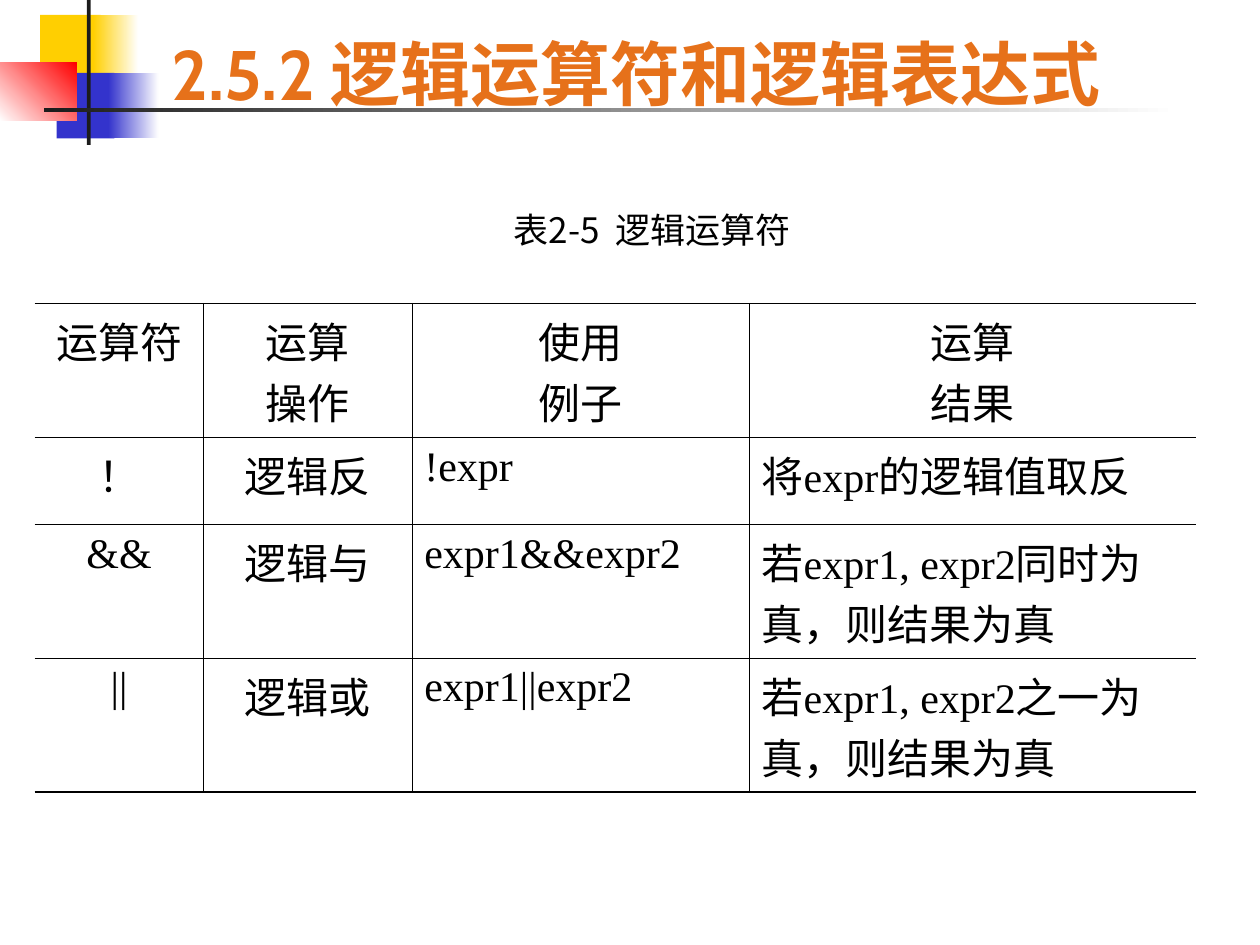
from dataclasses import dataclass

from lxml import etree
from pptx import Presentation
from pptx.dml.color import RGBColor
from pptx.enum import shapes, text
from pptx.oxml.ns import qn
from pptx.util import Cm, Pt


@dataclass(frozen=True)
class Theme:
    white: str = "FFFFFF"
    black: str = "000000"
    ink: str = "1C1C1C"
    yellow: str = "FFCF01"
    blue: str = "3333CC"
    red: str = "FF0000"
    orange: str = "E6711A"
    title_font: str = "Cabin"
    body_font: str = "Times New Roman"
    chinese_font: str = "Noto Sans CJK SC"
    title_size: int = 40
    caption_size: int = 20
    table_size: int = 24
    outer_rule: float = 0.96
    header_rule: float = 0.45
    inner_rule: float = 0.06


class SlideBuilder:
    def __init__(self, slide, theme):
        self.slide = slide
        self.theme = theme

    def block(self, left, top, width, height, color, fade_to=None, angle=0):
        """Add a borderless rectangle, plain or fading to a second colour."""
        shape = self.slide.shapes.add_shape(
            shapes.MSO_SHAPE.RECTANGLE, Cm(left), Cm(top), Cm(width), Cm(height))
        shape.shadow.inherit = False
        shape.line.fill.background()
        if fade_to is None:
            shape.fill.solid()
            shape.fill.fore_color.rgb = RGBColor.from_string(color)
            return
        shape.fill.gradient()
        shape.fill.gradient_angle = angle
        for stop, stop_color in zip(shape.fill.gradient_stops, (color, fade_to)):
            stop.color.rgb = RGBColor.from_string(stop_color)

    def style_text(self, text_frame, font_name, size, color, bold=False,
                   alignment=text.PP_ALIGN.LEFT):
        for paragraph in text_frame.paragraphs:
            paragraph.alignment = alignment
            for run in paragraph.runs:
                run.font.name = font_name
                run.font.size = Pt(size)
                run.font.bold = bold
                run.font.color.rgb = RGBColor.from_string(color)
                east_asian = etree.SubElement(run.font._element, qn("a:ea"))
                east_asian.set("typeface", self.theme.chinese_font)

    def text_box(self, left, top, width, height, content, anchor, margin, **style):
        box = self.slide.shapes.add_textbox(Cm(left), Cm(top), Cm(width), Cm(height))
        text_frame = box.text_frame
        text_frame.word_wrap = True
        text_frame.vertical_anchor = anchor
        text_frame.margin_top = text_frame.margin_bottom = Cm(margin)
        text_frame.text = content
        self.style_text(text_frame, **style)

    def border(self, cell, side, width):
        """Draw one cell side; a width of None leaves it without a line."""
        properties = cell._tc.get_or_add_tcPr()
        line = etree.SubElement(properties, qn(f"a:ln{side}"))
        if width is None:
            etree.SubElement(line, qn("a:noFill"))
            return
        line.set("w", str(int(Pt(width))))
        fill = etree.SubElement(line, qn("a:solidFill"))
        etree.SubElement(fill, qn("a:srgbClr")).set("val", self.theme.black)

    def table(self, left, top, widths, heights, rows, centered_columns):
        theme = self.theme
        table = self.slide.shapes.add_table(
            len(heights), len(widths), Cm(left), Cm(top),
            Cm(sum(widths)), Cm(sum(heights))).table
        table.first_row = table.horz_banding = False
        for column, width in zip(table.columns, widths):
            column.width = Cm(width)
        for row, height in zip(table.rows, heights):
            row.height = Cm(height)

        inner = theme.inner_rule
        across = [theme.outer_rule, theme.header_rule]
        across += [inner] * (len(rows) - 2) + [theme.outer_rule]
        down = [None] + [inner] * (len(widths) - 1) + [None]
        for r, values in enumerate(rows):
            for c, value in enumerate(values):
                cell = table.cell(r, c)
                for side, width in (("L", down[c]), ("R", down[c + 1]),
                                    ("T", across[r]), ("B", across[r + 1])):
                    self.border(cell, side, width)
                cell.fill.background()
                cell.text_frame.text = value
                centered = r == 0 or c < centered_columns
                self.style_text(
                    cell.text_frame, theme.body_font, theme.table_size, theme.black,
                    alignment=text.PP_ALIGN.CENTER if centered else text.PP_ALIGN.LEFT)


def main():
    presentation = Presentation()
    presentation.slide_width = Cm(25.4)
    presentation.slide_height = Cm(19.05)
    theme = Theme()
    slide = presentation.slides.add_slide(presentation.slide_layouts[6])
    builder = SlideBuilder(slide, theme)

    builder.block(0.81, 0.3, 1.22, 1.32, theme.yellow)
    builder.block(1.88, 0.3, 0.91, 1.32, theme.yellow, theme.white)
    builder.block(1.14, 1.47, 1.17, 1.32, theme.blue)
    builder.block(2.18, 1.47, 1.02, 1.32, theme.blue, theme.white)
    builder.block(0, 1.27, 1.55, 1.17, theme.white, theme.red, angle=45)
    builder.block(1.75, 0, 0.08, 2.92, theme.ink)
    builder.block(0.89, 2.18, 22.86, 0.08, theme.ink, theme.white)

    builder.text_box(
        3.2, 0.58, 21.64, 1.73, "2.5.2 逻辑运算符和逻辑表达式",
        text.MSO_ANCHOR.BOTTOM, margin=0, font_name=theme.title_font,
        size=theme.title_size, color=theme.orange, bold=True)
    builder.text_box(
        10.11, 4.08, 6.5, 1.96, "表2-5  逻辑运算符",
        text.MSO_ANCHOR.TOP, margin=0.13, font_name=theme.chinese_font,
        size=theme.caption_size, color=theme.black)

    builder.table(
        0.7, 6.12, widths=[3.4, 4.2, 6.8, 9], heights=[2.7, 1.75, 2.7, 2.7],
        rows=[
            ["运算符", "运算\n操作", "使用\n例子", "运算\n结果"],
            ["！", "逻辑反", "!expr", "将expr的逻辑值取反"],
            ["&&", "逻辑与", "expr1&&expr2", "若expr1, expr2同时为真，则结果为真"],
            ["||", "逻辑或", "expr1||expr2", "若expr1, expr2之一为真，则结果为真"],
        ],
        centered_columns=2)

    presentation.save("out.pptx")


if __name__ == "__main__":
    main()
